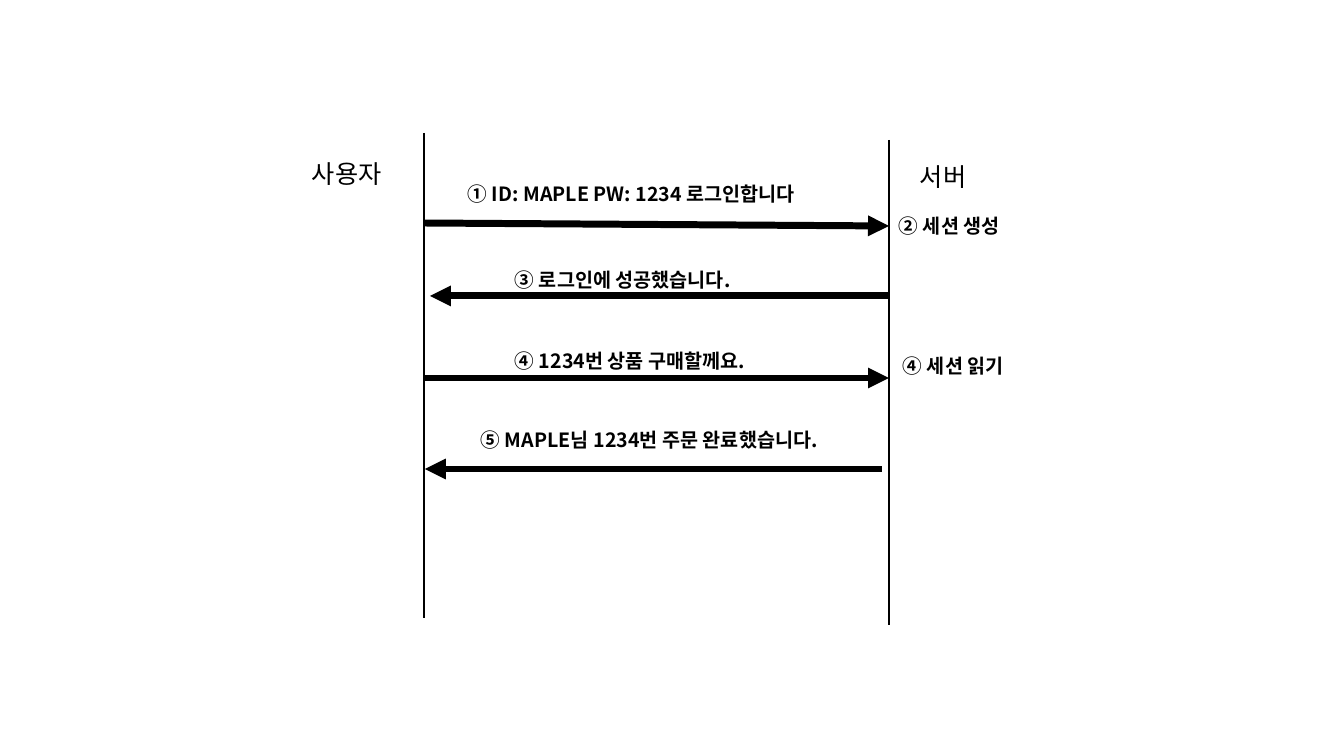
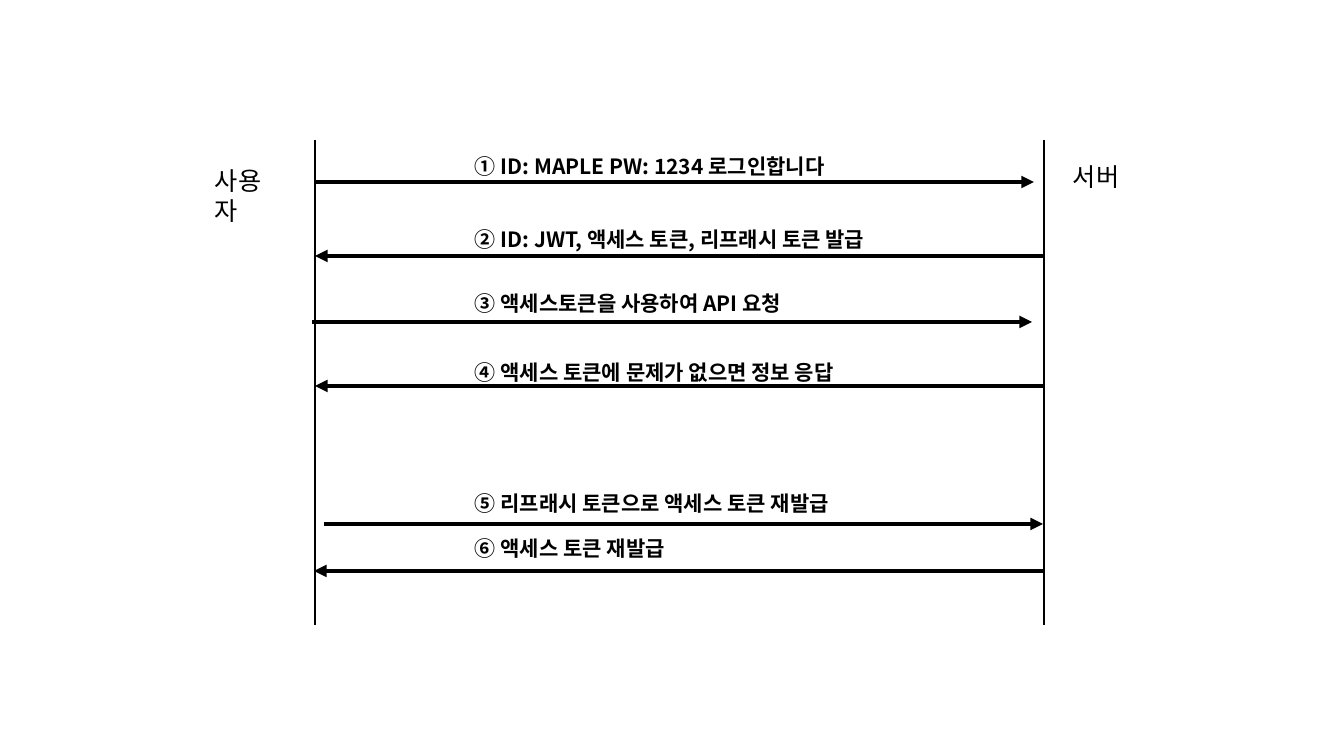
"""Two sequence diagrams: session login and token login."""
from pptx import Presentation, util as u
from pptx.dml.color import RGBColor
from pptx.enum import shapes, text
from pptx.oxml import ns, xmlchemy

PX = 914400 / 100.8
INK = RGBColor(0, 0, 0)
PAPER = RGBColor(255, 255, 255)
FACE = "Noto Sans CJK KR"
LIFELINE_HEIGHT = 485
LIFELINE_WEIGHT = 2
ACTOR_SIZE = 18


def px(*lengths):
    return [u.Emu(round(length * PX)) for length in lengths]


def add_label(slide, wording, left, top, width, height, size, bold=False):
    label = slide.shapes.add_textbox(*px(left, top, width, height))
    frame = label.text_frame
    frame.word_wrap = True
    frame.auto_size = text.MSO_AUTO_SIZE.SHAPE_TO_FIT_TEXT
    paragraph = frame.paragraphs[0]
    paragraph.text = wording
    font = paragraph.font
    font.name, font.size, font.bold = FACE, u.Pt(size), bold
    font.color.rgb = INK
    hangul = xmlchemy.OxmlElement("a:ea")
    hangul.set("typeface", FACE)
    paragraph._p.pPr.find(ns.qn("a:defRPr")).append(hangul)


def add_line(slide, start, end, weight, arrow=False):
    line = slide.shapes.add_connector(
        shapes.MSO_CONNECTOR.STRAIGHT, *px(*start, *end))
    line.line.color.rgb = INK
    line.line.width = u.Pt(weight)
    if arrow:
        tip = xmlchemy.OxmlElement("a:tailEnd")
        tip.set("type", "triangle")
        line.line._get_or_add_ln().append(tip)
    line._element.spPr.append(xmlchemy.OxmlElement("a:effectLst"))


def add_actor(slide, name, name_box, x, top):
    add_label(slide, name, *name_box, ACTOR_SIZE)
    add_line(slide, (x, top), (x, top + LIFELINE_HEIGHT), LIFELINE_WEIGHT)


def add_diagram(deck, actors, arrows, weight, messages, size):
    slide = deck.slides.add_slide(deck.slide_layouts[6])
    slide.background.fill.solid()
    slide.background.fill.fore_color.rgb = PAPER
    for actor in actors:
        add_actor(slide, *actor)
    for start, end in arrows:
        add_line(slide, start, end, weight, arrow=True)
    for wording, left, top, width, height in messages:
        add_label(slide, wording, left, top, width, height, size, bold=True)


def add_session_login(deck):
    actors = [("사용자", (302, 153, 98, 40), 424, 133),
              ("서버", (910, 156, 82, 40), 889, 140)]
    arrows = [((424, 223), (889, 226)), ((889, 296), (430, 296)),
              ((424, 378), (889, 378)), ((882, 469), (425, 469))]
    requests = [("① ID: MAPLE PW: 1234 로그인합니다", 458, 177),
                ("③ 로그인에 성공했습니다.", 505, 263),
                ("④ 1234번 상품 구매할께요.", 505, 344),
                ("⑤ MAPLE님 1234번 주문 완료했습니다.", 471, 423)]
    server_steps = [("② 세션 생성", 889, 209), ("④ 세션 읽기", 893, 349)]
    messages = [(*request, 521, 34) for request in requests]
    messages += [(*step, 137, 34) for step in server_steps]
    add_diagram(deck, actors, arrows, 5, messages, 14)


def add_token_login(deck):
    actors = [("사용자", (205, 160, 89, 40), 315, 140),
              ("서버", (1063, 156, 74, 40), 1044, 140)]
    steps = [("① ID: MAPLE PW: 1234 로그인합니다", 149, 182, 315, 1034),
             ("② ID: JWT, 액세스 토큰, 리프래시 토큰 발급", 222, 256, 1044, 315),
             ("③ 액세스토큰을 사용하여 API 요청", 286, 322, 312, 1032),
             ("④ 액세스 토큰에 문제가 없으면 정보 응답", 355, 386, 1044, 315),
             ("⑤ 리프래시 토큰으로 액세스 토큰 재발급", 486, 524, 324, 1043),
             ("⑥ 액세스 토큰 재발급", 531, 571, 1043, 314)]
    arrows = [((start, y), (end, y)) for _, _, y, start, end in steps]
    messages = [(wording, 465, top, 470, 35) for wording, top, *_ in steps]
    add_diagram(deck, actors, arrows, 3, messages, 15)


def main():
    deck = Presentation()
    deck.slide_width, deck.slide_height = px(1344, 756)
    add_session_login(deck)
    add_token_login(deck)
    deck.save("out.pptx")


main()
